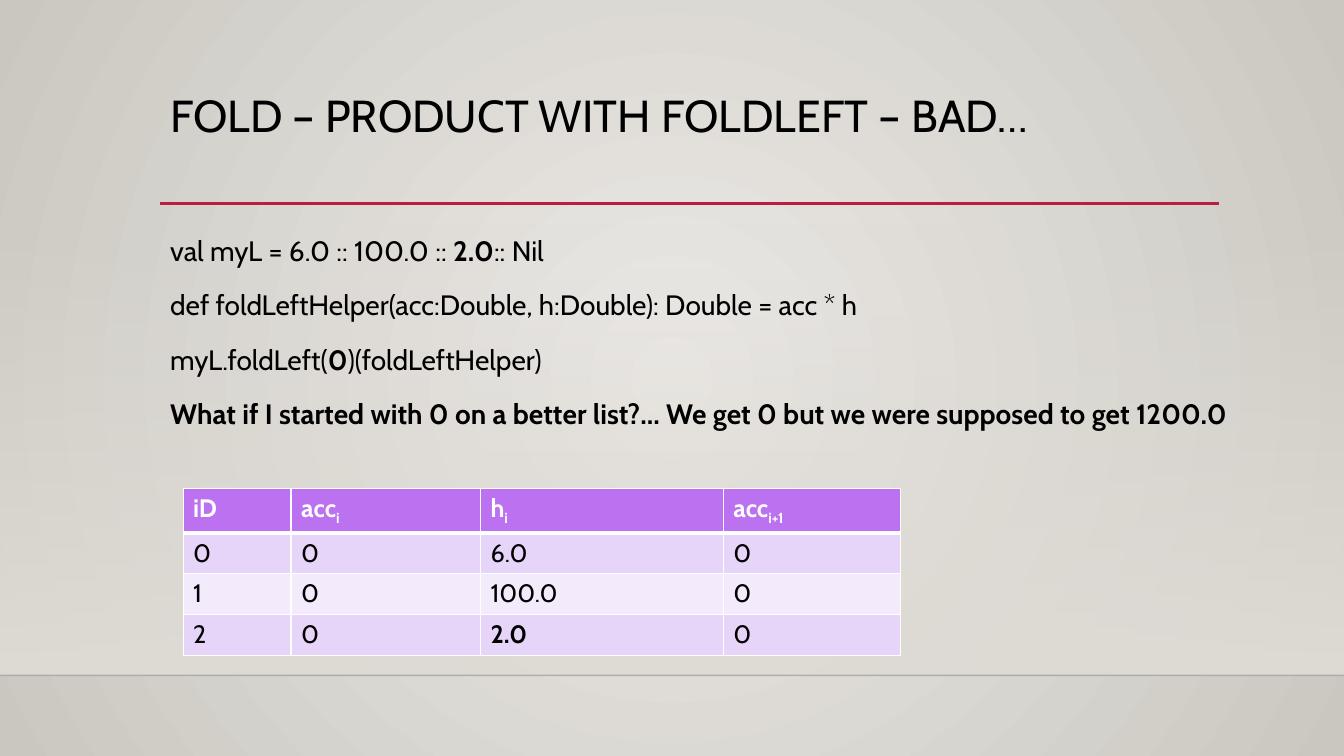
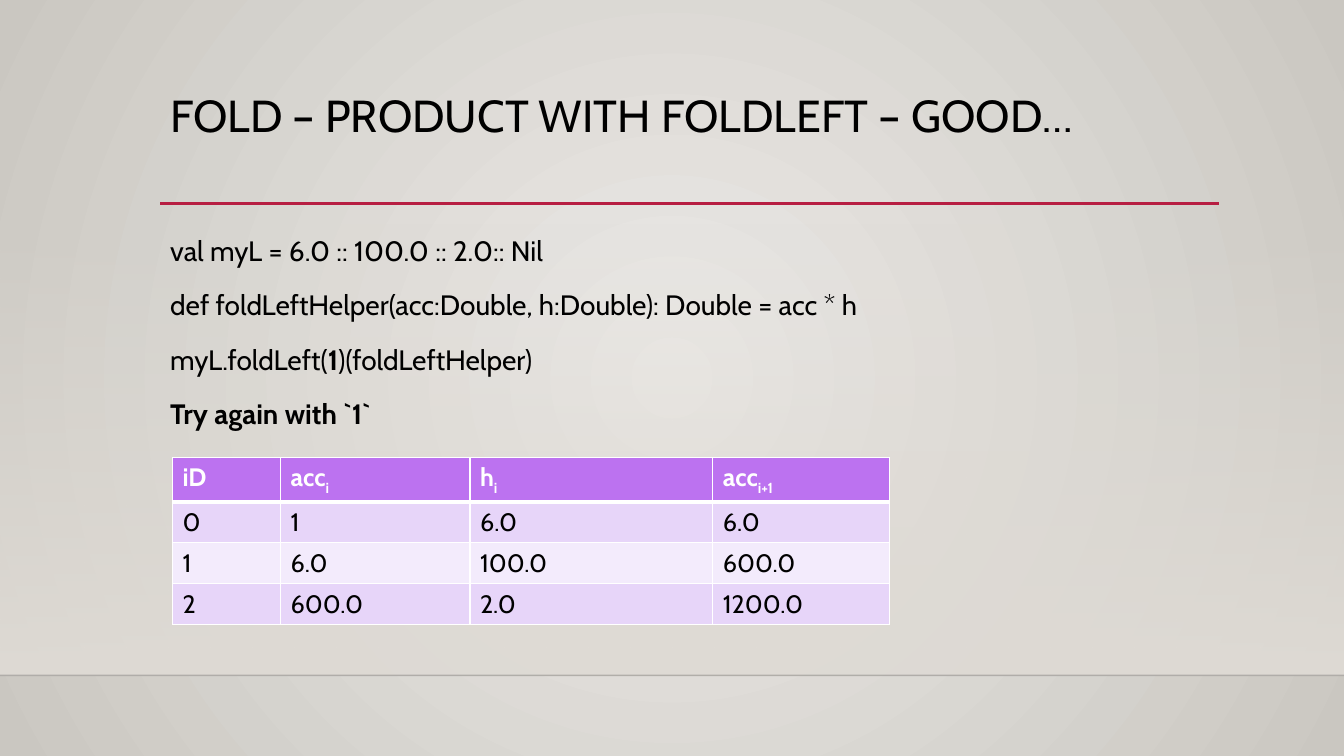
from lxml import etree
from pptx import Presentation
from pptx.dml.color import RGBColor
from pptx.enum import shapes, text
from pptx.oxml import ns
from pptx.util import Pt

FONT = "Cabin"
BLACK, WHITE, RED = "000000", "FFFFFF", "B71E42"
BACKDROP = ("ECEAE7", "CAC7C1")
BAND = "DFDBD5"
HEADER_FILL = "BC72F0"
ROW_FILLS = ("E7D5F9", "F3EBFC")

WIDTH, HEIGHT = 960, 540
MARGIN, CONTENT_WIDTH = 114.5, 756
RULE_Y, BAND_TOP, FLOOR_Y = 145.4, 159, 482.4
COLUMN_WIDTHS = (77.1, 135.3, 173.4, 126.4)
HEADER_HEIGHT, ROW_HEIGHT = 30.7, 29.2

BOLD, SUB = "bold", "subscript"
HEADERS = ["iD", ["acc", ("i", SUB)], ["h", ("i", SUB)], ["acc", ("i+1", SUB)]]
HELPER = "def foldLeftHelper(acc:Double, h:Double): Double = acc * h"

SLIDES = [
    {
        "title": "FOLD – PRODUCT WITH FOLDLEFT – BAD…",
        "body": [
            ["val myL = 6.0 :: 100.0 :: ", ("2.0", BOLD), ":: Nil"],
            HELPER,
            ["myL.foldLeft(", ("0", BOLD), ")(foldLeftHelper)"],
            [("What if I started with 0 on a better list?... "
              "We get 0 but we were supposed to get 1200.0", BOLD)],
        ],
        "table_at": (130.8, 348.7),
        "rows": [
            ["0", "0", "6.0", "0"],
            ["1", "0", "100.0", "0"],
            ["2", "0", [("2.0", BOLD)], "0"],
        ],
    },
    {
        "title": "FOLD – PRODUCT WITH FOLDLEFT – GOOD…",
        "body": [
            "val myL = 6.0 :: 100.0 :: 2.0:: Nil",
            HELPER,
            ["myL.foldLeft(", ("1", BOLD), ")(foldLeftHelper)"],
            [("Try again with `1`", BOLD)],
        ],
        "table_at": (123.3, 326.7),
        "rows": [
            ["0", "1", "6.0", "6.0"],
            ["1", "6.0", "100.0", "600.0"],
            ["2", "600.0", "2.0", "1200.0"],
        ],
    },
]


def rgb(value):
    return RGBColor.from_string(value)


def add_node(parent, tag, **attributes):
    node = etree.SubElement(parent, ns.qn(tag))
    for name, value in attributes.items():
        node.set(name, str(value))
    return node


def set_gradient(fill, colours):
    fill.gradient()
    for stop, colour, position in zip(fill.gradient_stops, colours, (0, 1)):
        stop.color.rgb = rgb(colour)
        stop.position = position


def write(paragraph, content, size, colour=BLACK, bold=False):
    for part in [content] if isinstance(content, str) else content:
        words, style = (part, None) if isinstance(part, str) else part
        run = paragraph.add_run()
        run.text = words
        run.font.name = FONT
        run.font.size = Pt(size)
        run.font.bold = bold or style == BOLD
        run.font.color.rgb = rgb(colour)
        if style == SUB:
            run._r.get_or_add_rPr().set("baseline", "-25000")


def add_text(slide, box, lines, size, line_spacing, space_before=0):
    frame = slide.shapes.add_textbox(*map(Pt, box)).text_frame
    frame.word_wrap = True
    frame.vertical_anchor = text.MSO_ANCHOR.TOP
    for index, line in enumerate(lines):
        paragraph = frame.add_paragraph() if index else frame.paragraphs[0]
        paragraph.line_spacing = line_spacing
        paragraph.space_before = Pt(space_before)
        write(paragraph, line, size)


def add_line(slide, left, right, y, colour, weight, opacity=100):
    line = slide.shapes.add_connector(
        shapes.MSO_CONNECTOR.STRAIGHT, Pt(left), Pt(y), Pt(right), Pt(y))
    line.line.color.rgb = rgb(colour)
    line.line.width = Pt(weight)
    properties = line.element.spPr
    add_node(properties, "a:effectLst")
    if opacity < 100:
        tone = properties.find(".//" + ns.qn("a:srgbClr"))
        add_node(tone, "a:alpha", val=opacity * 1000)


def add_backdrop(slide):
    set_gradient(slide.background.fill, BACKDROP)
    gradient = slide.element.find(".//" + ns.qn("a:gradFill"))
    gradient.remove(gradient.find(ns.qn("a:lin")))
    circle = add_node(gradient, "a:path", path="circle")
    add_node(circle, "a:fillToRect", l=50000, t=50000, r=50000, b=50000)

    band = slide.shapes.add_shape(
        shapes.MSO_SHAPE.RECTANGLE, 0, Pt(BAND_TOP), Pt(WIDTH), Pt(FLOOR_Y - BAND_TOP))
    band.shadow.inherit = False
    band.line.fill.background()
    set_gradient(band.fill, (BAND, BAND))
    band.fill.gradient_angle = 270
    first_tone = band.element.spPr.find(".//" + ns.qn("a:srgbClr"))
    add_node(first_tone, "a:alpha", val=0)

    add_line(slide, 0, WIDTH, FLOOR_Y, "000001", 1, opacity=20)
    add_line(slide, MARGIN, MARGIN + CONTENT_WIDTH, RULE_Y, RED, 2.5)


def set_borders(cell, row):
    weights = {"L": 1, "R": 1, "T": 3 if row == 1 else 1, "B": 3 if row == 0 else 1}
    properties = cell._tc.get_or_add_tcPr()
    for side, weight in weights.items():
        border = add_node(properties, "a:ln" + side, w=Pt(weight))
        add_node(add_node(border, "a:solidFill"), "a:srgbClr", val=WHITE)


def add_fold_table(slide, position, rows):
    grid = [HEADERS] + rows
    heights = [HEADER_HEIGHT] + [ROW_HEIGHT] * len(rows)
    left, top = position
    table = slide.shapes.add_table(
        len(grid), len(HEADERS), Pt(left), Pt(top),
        Pt(sum(COLUMN_WIDTHS)), Pt(sum(heights))).table
    table.horz_banding = False
    for column, width in zip(table.columns, COLUMN_WIDTHS):
        column.width = Pt(width)
    for r, (values, height) in enumerate(zip(grid, heights)):
        table.rows[r].height = Pt(height)
        header = r == 0
        for c, value in enumerate(values):
            cell = table.cell(r, c)
            set_borders(cell, r)
            cell.fill.solid()
            cell.fill.fore_color.rgb = rgb(HEADER_FILL if header else ROW_FILLS[(r - 1) % 2])
            write(cell.text_frame.paragraphs[0], value, 18,
                  WHITE if header else BLACK, bold=header)


def main():
    presentation = Presentation()
    presentation.slide_width, presentation.slide_height = Pt(WIDTH), Pt(HEIGHT)
    for content in SLIDES:
        slide = presentation.slides.add_slide(presentation.slide_layouts[6])
        add_backdrop(slide)
        add_text(slide, (MARGIN, 63.4, CONTENT_WIDTH, 82.8), [content["title"]], 32, 0.9)
        add_text(slide, (MARGIN, 158.4, 818.6, 271.4), content["body"], 20, 1.2, 10)
        add_fold_table(slide, content["table_at"], content["rows"])
    presentation.save("out.pptx")


if __name__ == "__main__":
    main()
